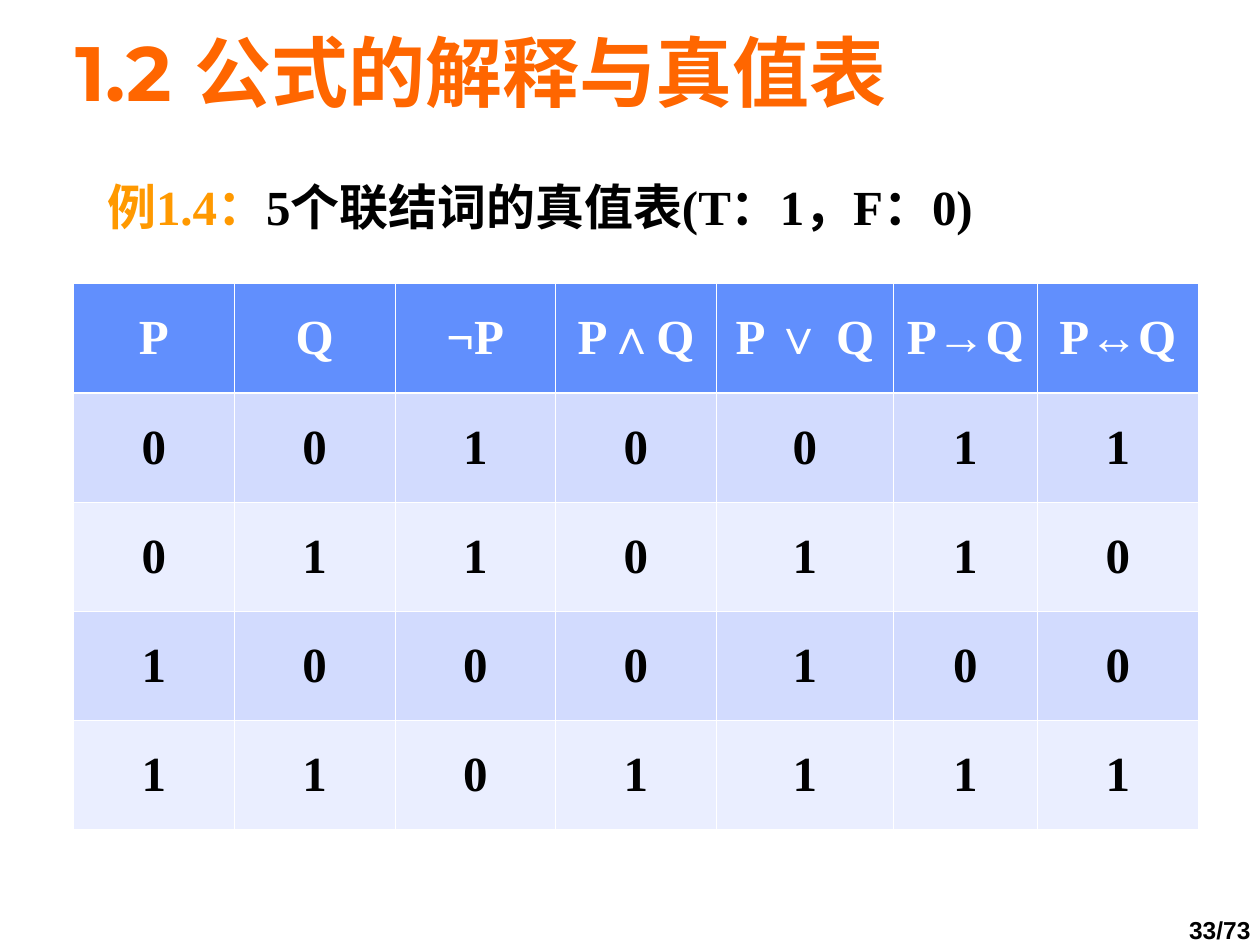
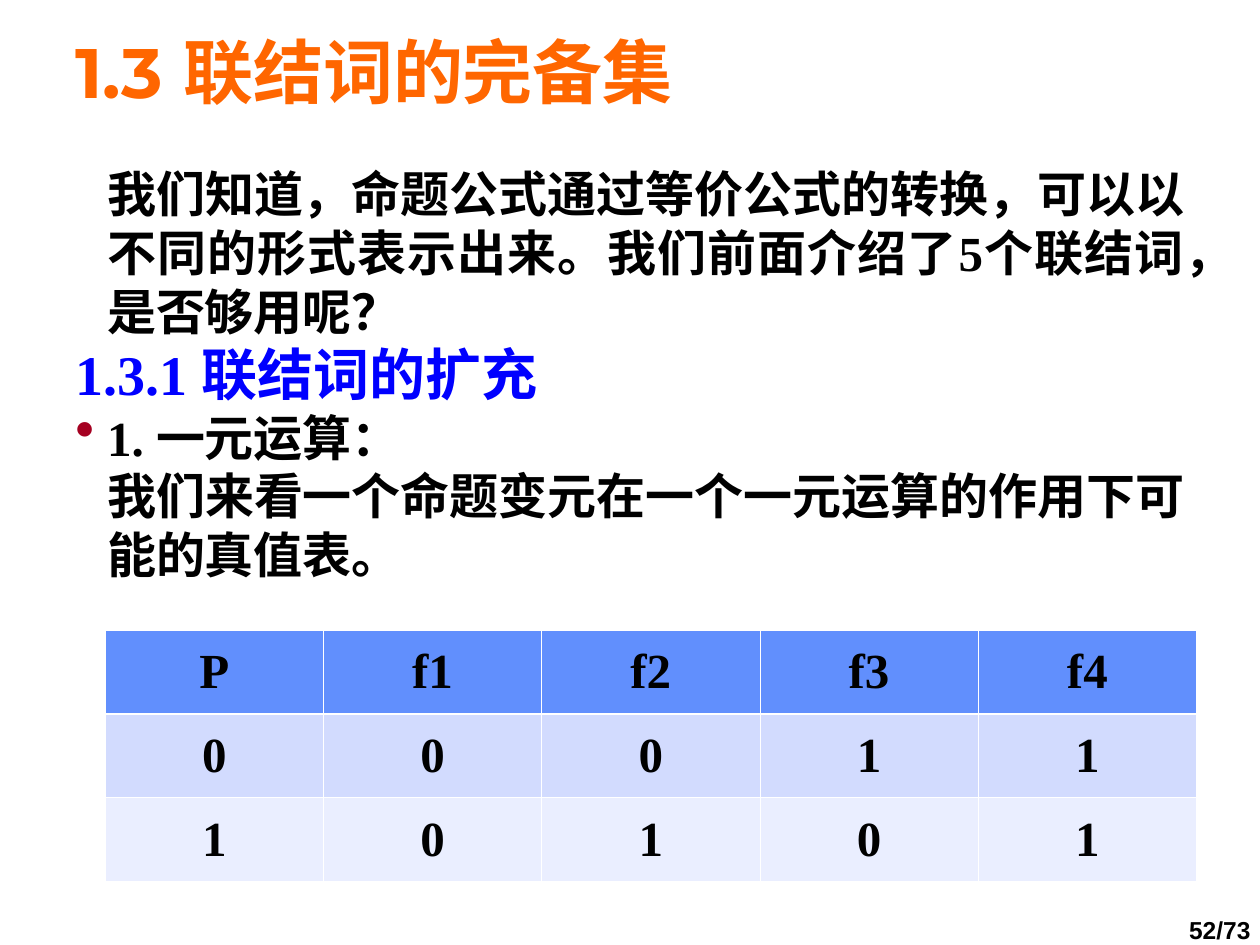
import lxml.etree
import pptx
import pptx.dml.color
import pptx.enum.lang
import pptx.enum.text
import pptx.oxml.ns
import pptx.util

Cm, Pt = pptx.util.Cm, pptx.util.Pt
ALIGN = pptx.enum.text.PP_ALIGN
ANCHOR = pptx.enum.text.MSO_ANCHOR
AUTOSIZE = pptx.enum.text.MSO_AUTO_SIZE
CHINESE = pptx.enum.lang.MSO_LANGUAGE_ID.SIMPLIFIED_CHINESE

BLACK, WHITE = "000000", "FFFFFF"
ORANGE, AMBER, BLUE, CRIMSON = "FF6600", "FF9900", "0000FF", "A50021"
HEADER_FILL, ROW_FILLS = "618FFD", ("D2DBFE", "EAEEFF")
THIN, THICK = 0.45, 1.47
PAGE_COUNT = 73
INDENT = Cm(0.64)


def rgb(hex_color):
    return pptx.dml.color.RGBColor.from_string(hex_color)


def set_all(obj, values):
    for name, value in values.items():
        setattr(obj, name, value)


def sub(parent, tag, **attrs):
    """Append a DrawingML element to parent."""
    return lxml.etree.SubElement(parent, pptx.oxml.ns.qn("a:" + tag), attrs)


class Deck:
    title_font, body_font, footer_font = "Montserrat", "Times New Roman", "Arial"

    def __init__(self):
        self.prs = pptx.Presentation()
        set_all(self.prs, {"slide_width": Cm(25.4), "slide_height": Cm(19.05)})
        self.s = None

    def run(self, p, text, size=28, color=BLACK, font=body_font, **extra):
        r = p.add_run()
        r.text = text
        set_all(r.font, {"name": font, "size": Pt(size), "bold": True, **extra})
        r.font.color.rgb = rgb(color)

    def slide(self, title, title_size, page):
        self.s = self.prs.slides.add_slide(self.prs.slide_layouts[5])
        self.footer(page)
        sp = self.s.shapes.title
        set_all(sp, {"left": Cm(1.27), "top": Cm(0.63), "width": Cm(22.86), "height": Cm(1.78)})
        tf = sp.text_frame
        set_all(tf, {"auto_size": AUTOSIZE.NONE, "vertical_anchor": ANCHOR.MIDDLE})
        p = tf.paragraphs[0]
        set_all(p, {"alignment": ALIGN.LEFT, "line_spacing": 0.93, "space_before": Pt(0)})
        self.run(p, title, title_size, ORANGE, self.title_font)

    def text_box(self, left, top, width, height, **frame):
        tf = self.s.shapes.add_textbox(Cm(left), Cm(top), Cm(width), Cm(height)).text_frame
        set_all(tf, {"word_wrap": True, "auto_size": AUTOSIZE.NONE, **frame})
        return tf

    def footer(self, page):
        tf = self.text_box(22.8, 18.4, 3.58, 0.77, word_wrap=False, vertical_anchor=ANCHOR.MIDDLE)
        p = tf.paragraphs[0]
        set_all(p, {"alignment": ALIGN.CENTER, "line_spacing": 0.85})
        self.run(p, f"{page}/{PAGE_COUNT}", 14, font=self.footer_font)

    def paragraph(self, tf, runs, left=INDENT, bullet=False, **values):
        """Add a paragraph of (text, format) runs, filling the empty first one."""
        p = tf.paragraphs[0] if not tf.paragraphs[0].runs else tf.add_paragraph()
        pPr = p._p.get_or_add_pPr()
        pPr.set("marL", str(left))
        pPr.set("indent", str(-left if bullet else 0))
        if bullet:
            sub(sub(pPr, "buClr"), "srgbClr", val=CRIMSON)
            sub(pPr, "buSzPct", val="114000")
            sub(pPr, "buChar", char="•")
        set_all(p, values)
        for text, style in runs:
            self.run(p, text, **style)

    def cell(self, cell, text, color, fill, borders):
        cell.vertical_anchor = ANCHOR.MIDDLE
        tcPr = cell._tc.get_or_add_tcPr()
        for side, width in borders.items():
            ln = sub(tcPr, "ln" + side, w=str(Pt(width)))
            sub(sub(ln, "solidFill"), "srgbClr", val=WHITE)
        cell.fill.solid()
        cell.fill.fore_color.rgb = rgb(fill)
        p = cell.text_frame.paragraphs[0]
        p.alignment = ALIGN.CENTER
        self.run(p, text, color=color)

    def truth_table(self, left, top, col_widths, row_height, header, rows, header_color):
        """Draw a header and rows, each row a string with one digit per column."""
        data = [header, *rows]
        frame = self.s.shapes.add_table(
            len(data), len(header), Cm(left), Cm(top),
            Cm(sum(col_widths)), Cm(row_height * len(data)))
        table = frame.table
        for col, width in zip(table.columns, col_widths):
            col.width = Cm(width)
        for i, texts in enumerate(data):
            table.rows[i].height = Cm(row_height)
            color = BLACK if i else header_color
            fill = ROW_FILLS[(i - 1) % 2] if i else HEADER_FILL
            borders = {"L": THIN, "R": THIN, "T": THICK if i == 1 else THIN,
                       "B": THIN if i else THICK}
            for j, text in enumerate(texts):
                self.cell(table.cell(i, j), text, color, fill, borders)


def connectives_slide(deck):
    deck.slide("1.2 公式的解释与真值表", 44, 33)
    tf = deck.text_box(1.27, 3.6, 22.86, 1.9)
    deck.paragraph(tf, [("例1.4：", {"color": AMBER}),
                        ("5个联结词的真值表(T：1，F：0)", {})], line_spacing=0.87)
    deck.truth_table(1.48, 5.72, [3.24] * 4 + [3.57, 2.9, 3.25], 2.2,
                     ["P", "Q", "¬P", "P∧Q", "P ∨ Q", "P→Q", "P↔Q"],
                     ["0010011", "0110110", "1000100", "1101111"], WHITE)


def complete_set_slide(deck):
    deck.slide("1.3 联结词的完备集", 40, 52)
    tf = deck.text_box(1.27, 3.17, 22.86, 8.89)
    paragraphs = [
        ("我们知道，命题公式通过等价公式的转换，可以以不同的形式表示出来。"
         "我们前面介绍了5个联结词，是否够用呢？", {}, {}),
        ("1.3.1 联结词的扩充", {"size": 32, "color": BLUE}, {"left": 0}),
        ("1. 一元运算：", {}, {"bullet": True}),
        ("我们来看一个命题变元在一个一元运算的作用下可能的真值表。", {}, {}),
    ]
    for text, style, layout in paragraphs:
        deck.paragraph(tf, [(text, {"language_id": CHINESE, **style})],
                       alignment=ALIGN.JUSTIFY, **layout)
    deck.truth_table(2.12, 12.7, [4.4] * 5, 1.69, ["P", "f1", "f2", "f3", "f4"],
                     ["00011", "10101"], BLACK)


def main():
    deck = Deck()
    connectives_slide(deck)
    complete_set_slide(deck)
    deck.prs.save("out.pptx")


if __name__ == "__main__":
    main()
